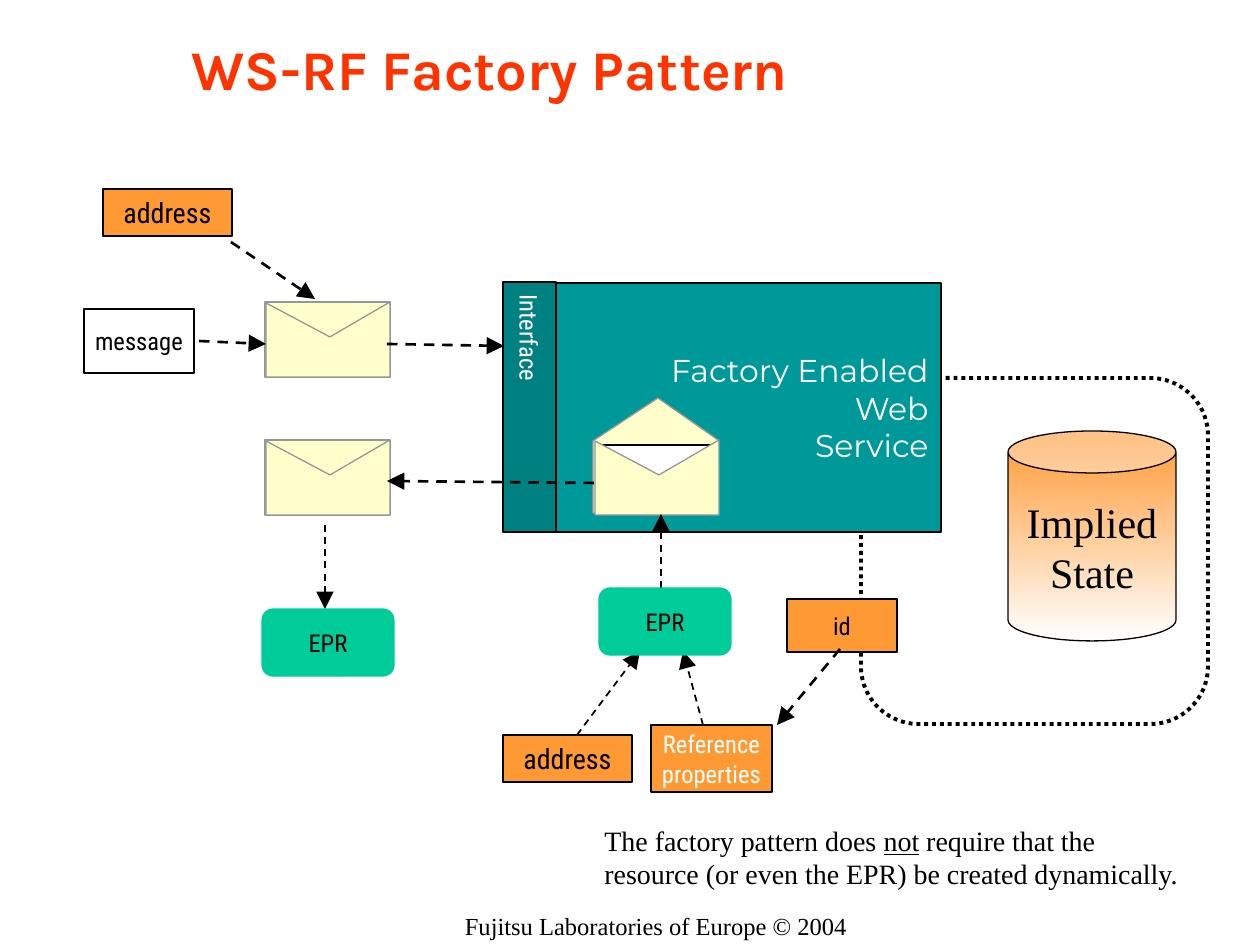
from dataclasses import dataclass

import lxml.etree
import pptx
import pptx.dml.color
import pptx.enum.dml
import pptx.enum.shapes
import pptx.enum.text
import pptx.oxml.ns
import pptx.util

PX = 914400 / 126
KIND = pptx.enum.shapes.MSO_SHAPE
ALIGN = pptx.enum.text.PP_ALIGN
ANCHOR = pptx.enum.text.MSO_ANCHOR
DASH = pptx.enum.dml.MSO_LINE


@dataclass(frozen=True)
class Theme:
    black: str = "000000"
    white: str = "FFFFFF"
    red: str = "FF3300"
    orange: str = "FF9933"
    teal: str = "009999"
    deep: str = "008080"
    green: str = "00CC99"
    cream: str = "FFFFCC"
    grey: str = "969696"
    serif: str = "Times New Roman"
    label: str = "Roboto Condensed"
    sans: str = "Montserrat"
    head: str = "Karla"
    small: int = 14
    body: int = 16
    mid: int = 18
    large: int = 24
    title: int = 32
    thin: float = 0.75
    fine: float = 1
    bold: float = 1.5
    thick: float = 2.25


T = Theme()


def px(*vals):
    return [pptx.util.Emu(round(v * PX)) for v in vals]


def rgb(code):
    return pptx.dml.color.RGBColor.from_string(code)


def add_xml(parent, tag, **attrs):
    return lxml.etree.SubElement(parent, pptx.oxml.ns.qn(tag), attrs)


def style(font, face, size, color):
    font.name = face
    font.size = pptx.util.Pt(size)
    font.color.rgb = rgb(color)


def write(frame, text, face=T.label, size=T.small, color=T.black,
          align=ALIGN.CENTER, anchor=ANCHOR.MIDDLE, wrap=False):
    frame.text = text
    frame.word_wrap = wrap
    frame.auto_size = pptx.enum.text.MSO_AUTO_SIZE.NONE
    frame.vertical_anchor = anchor
    for para in frame.paragraphs:
        para.alignment = align
        for run in para.runs:
            style(run.font, face, size, color)


def paint(shape, fill, line, width=T.thin):
    shape.shadow.inherit = False
    if fill:
        shape.fill.solid()
        shape.fill.fore_color.rgb = rgb(fill)
    else:
        shape.fill.background()
    shape.line.color.rgb = rgb(line)
    shape.line.width = pptx.util.Pt(width)


def add_box(slide, rect, fill, line=T.black, text=None, kind=KIND.RECTANGLE,
            width=T.thin, **look):
    shape = slide.shapes.add_shape(kind, *px(*rect))
    paint(shape, fill, line, width)
    if text:
        write(shape.text_frame, text, **look)
    return shape


def add_free(slide, points):
    """Draw a closed paper outline through points in px."""
    pen = slide.shapes.build_freeform(*points[0], scale=PX)
    pen.add_line_segments(points[1:], close=True)
    paint(pen.convert_to_shape(), T.cream, T.grey)


def add_front(slide, x, y):
    """Draw the front of an envelope with its V-shaped fold."""
    edge = [(1, 75), (1, 1), (65, 35), (125, 0), (125, 75)]
    add_free(slide, [(x + dx, y + dy) for dx, dy in edge])


def add_mail(slide, x, y):
    add_box(slide, (x, y, 125, 75), T.cream, T.grey)
    add_front(slide, x, y)


def add_open(slide, x, y):
    """Draw an open envelope with a blank sheet inside."""
    flap = [(-1, 73), (-1, 1), (64, -42), (124, 0), (123, 73)]
    add_free(slide, [(x + dx, y + dy) for dx, dy in flap])
    add_box(slide, (x + 7, y + 5, 110, 64), T.white)
    add_front(slide, x, y)


def add_arrow(slide, start, end, width=T.bold):
    line = slide.shapes.add_connector(
        pptx.enum.shapes.MSO_CONNECTOR.STRAIGHT, *px(*start, *end))
    line.line.color.rgb = rgb(T.black)
    line.line.width = pptx.util.Pt(width)
    line.line.dash_style = DASH.DASH
    add_xml(line.line._get_or_add_ln(), "a:tailEnd", type="triangle",
            w="lg", len="lg")
    add_xml(line._element.spPr, "a:effectLst")


def add_epr(slide, x, y):
    add_box(slide, (x, y, 132, 67), T.green, T.green, "EPR",
            KIND.ROUNDED_RECTANGLE)


def add_address(slide, x, y):
    add_box(slide, (x, y, 129, 47), T.orange, text="address", size=T.body)


def add_note(slide, rect, text, **look):
    box = slide.shapes.add_textbox(*px(*rect))
    write(box.text_frame, text, face=T.serif, anchor=ANCHOR.TOP, **look)
    return box.text_frame


def set_title(slide, text):
    title = slide.shapes.title
    title.left, title.top, title.width, title.height = px(179, 0, 903, 136)
    write(title.text_frame, text, T.head, T.title, T.red, ALIGN.LEFT, wrap=True)
    title.text_frame.paragraphs[0].runs[0].font.bold = True


def add_state(slide):
    can = add_box(slide, (1008, 431, 168, 210), T.orange,
                  text="Implied\nState", kind=KIND.CAN,
                  face=T.serif, size=T.large)
    can.fill.gradient()
    can.fill.gradient_angle = 270
    for stop, color in zip(can.fill.gradient_stops, (T.orange, T.white)):
        stop.color.rgb = rgb(color)
    ring = add_box(slide, (861, 378, 347, 346), None, width=T.thick,
                   kind=KIND.ROUNDED_RECTANGLE)
    ring.line.dash_style = DASH.ROUND_DOT


def add_service(slide):
    side = add_box(slide, (503, 282, 53, 250), T.deep, text="Interface",
                   color=T.white, wrap=True)
    side.text_frame._txBody.bodyPr.set("vert", "eaVert")
    add_box(slide, (556, 283, 385, 249), T.teal,
            text="Factory Enabled\nWeb\nService", face=T.sans, size=T.mid,
            color=T.white, align=ALIGN.RIGHT)


def add_request(slide):
    add_address(slide, 103, 189)
    add_box(slide, (84, 309, 110, 64), T.white, text="message")
    add_mail(slide, 265, 302)
    add_arrow(slide, (199, 341), (266, 344))
    add_arrow(slide, (231, 242), (315, 299))
    add_arrow(slide, (387, 344), (504, 346))


def add_factory(slide):
    add_open(slide, 594, 440)
    add_address(slide, 503, 735)
    add_arrow(slide, (577, 735), (640, 651), T.fine)
    add_arrow(slide, (661, 588), (661, 514), T.fine)
    add_box(slide, (787, 599, 110, 53), T.orange, text="id")
    add_arrow(slide, (840, 649), (777, 725))
    add_box(slide, (651, 725, 121, 67), T.orange,
            text="Reference\vproperties", color=T.white)
    add_arrow(slide, (703, 725), (683, 651), T.fine)
    add_epr(slide, 599, 588)


def add_reply(slide):
    add_mail(slide, 265, 440)
    add_arrow(slide, (594, 483), (387, 481))
    add_arrow(slide, (325, 525), (325, 609), T.fine)
    add_epr(slide, 262, 609)


def add_notes(slide):
    add_note(slide, (262, 905, 788, 47), "Fujitsu Laboratories of Europe © 2004",
             wrap=True)
    frame = add_note(
        slide, (592, 817, 600, 81),
        "\nresource (or even the EPR) be created dynamically.",
        size=T.body, align=ALIGN.LEFT)
    first = frame.paragraphs[0]
    for text in ("The factory pattern does ", "not", " require that the"):
        run = first.add_run()
        run.text = text
        style(run.font, T.serif, T.body, T.black)
        run.font.underline = text == "not"


def main():
    deck = pptx.Presentation()
    deck.slide_width, deck.slide_height = px(1260, 945)
    slide = deck.slides.add_slide(deck.slide_layouts[5])
    add_state(slide)
    set_title(slide, "WS-RF Factory Pattern")
    add_service(slide)
    add_request(slide)
    add_factory(slide)
    add_reply(slide)
    add_notes(slide)
    deck.save("out.pptx")


if __name__ == "__main__":
    main()
